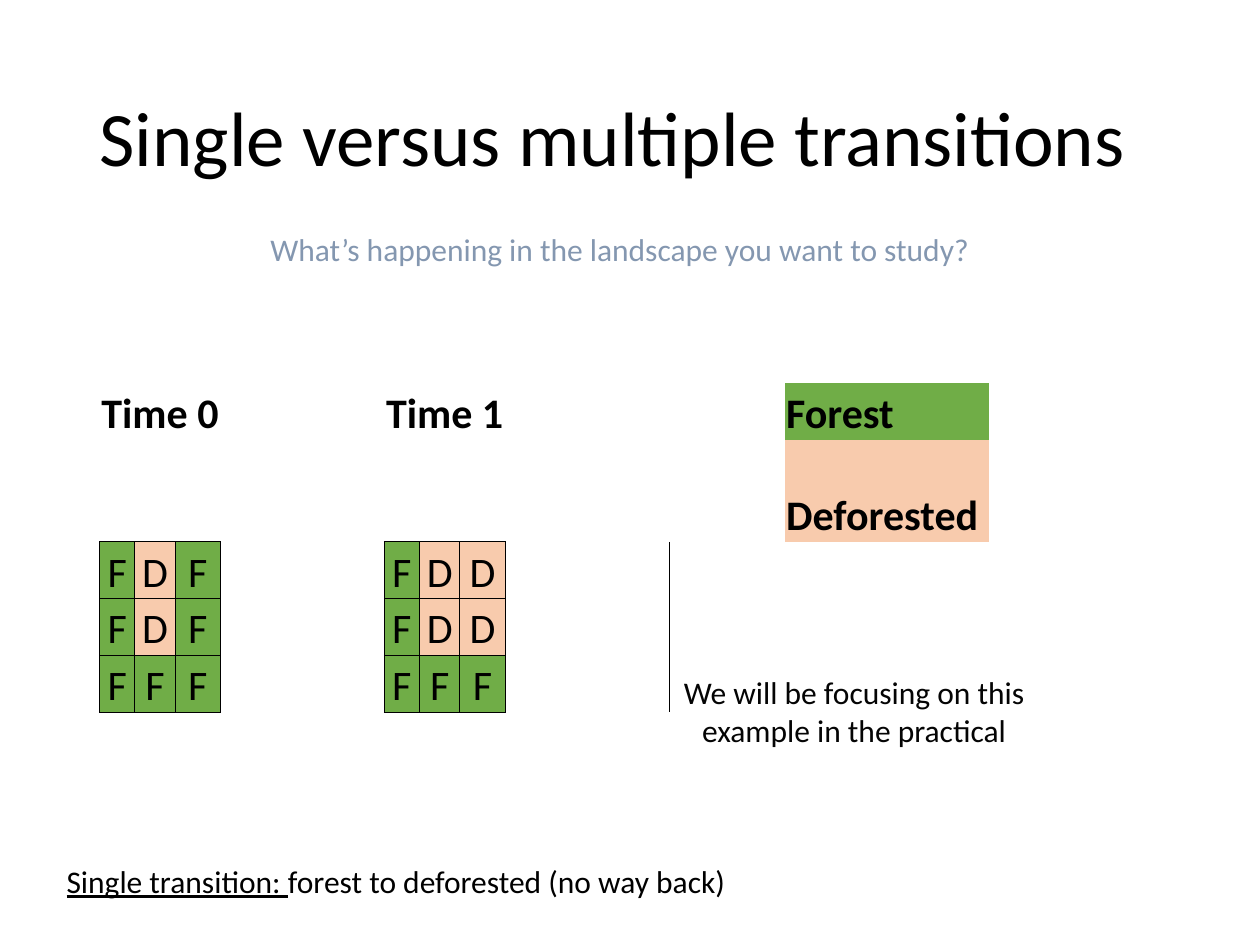
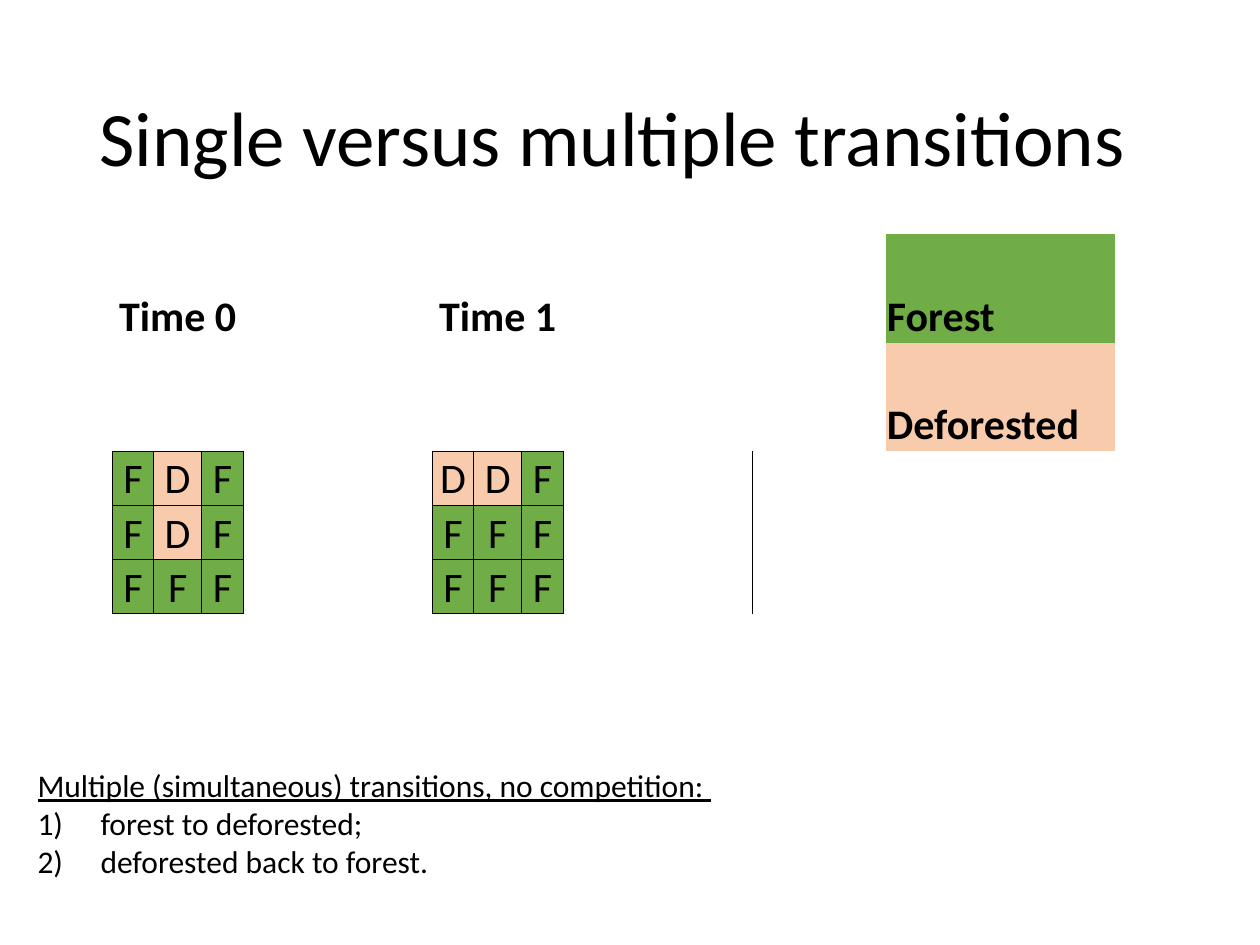
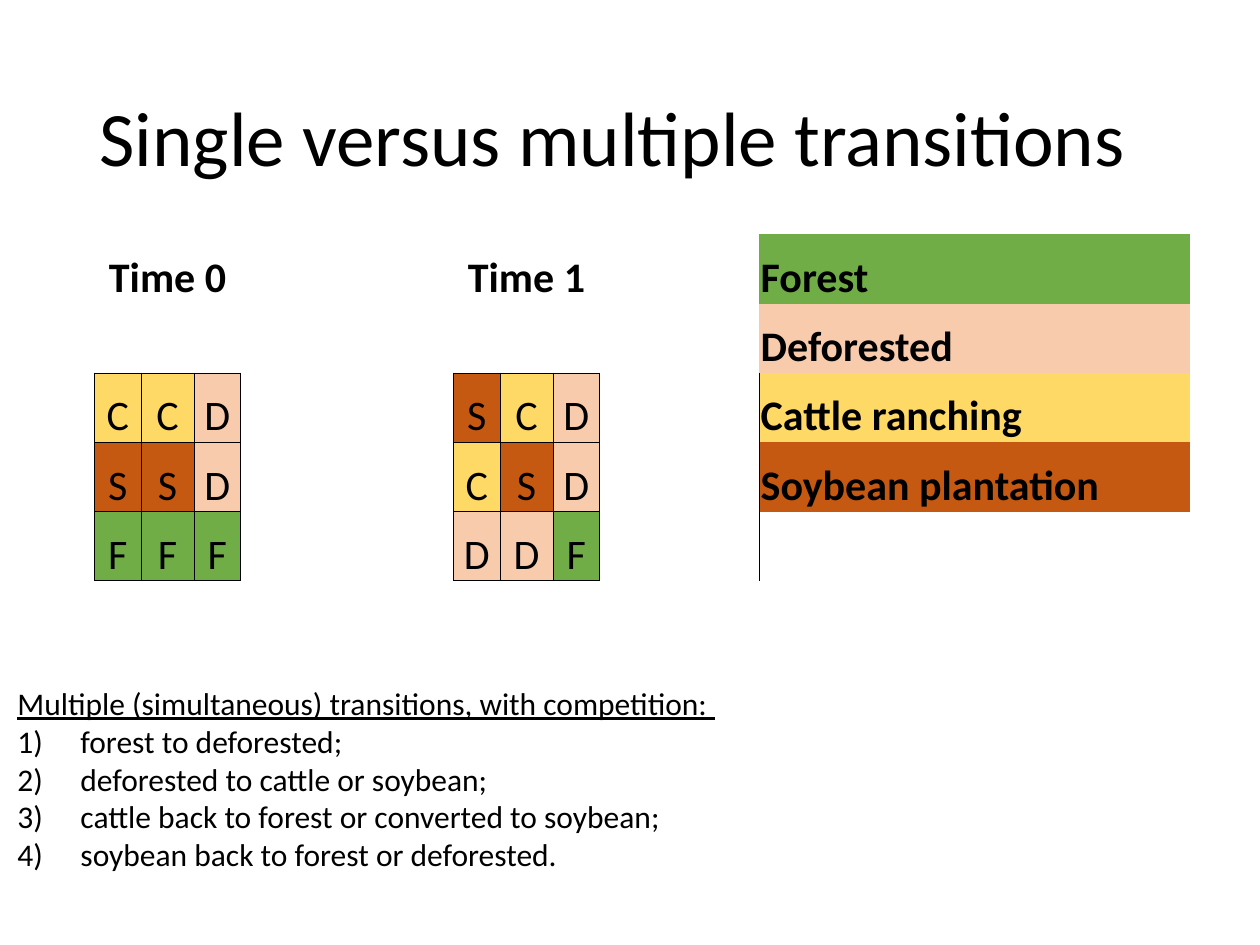
from dataclasses import dataclass
from typing import Optional

from lxml.etree import SubElement
from pptx import Presentation
from pptx.dml.color import RGBColor
from pptx.enum.text import MSO_ANCHOR as Anchor, MSO_AUTO_SIZE as AutoSize, PP_ALIGN as Align
from pptx.oxml.ns import qn
from pptx.util import Inches, Pt

COLOURS = {
    "text": "000000", "note": "040404", "subtitle": "8497B0", "border": "000000",
    "F": "70AD47", "D": "F8CBAD", "C": "FFD966", "S": "C65911",
}
LAND_USES = {"F": "Forest", "D": "Deforested", "C": "Cattle ranching", "S": "Soybean plantation"}
FONT = "Calibri"
TITLE = "Single versus multiple transitions"
TITLE_SIZE, TABLE_SIZE, BODY_SIZE = 44, 24, 18
NO_STYLE_NO_GRID = "{2D5ABB26-0587-4C30-8999-92F81FD0307C}"

# The slide is a grid of 100 columns by 75 rows.
SLIDE_W, SLIDE_H = Inches(10), Inches(7.5)
COL, ROW = SLIDE_W / 100, SLIDE_H / 75

PATCH_SIZE = 3
FIRST_PATCH_ROW = 2
TIME_COLUMNS = (0, PATCH_SIZE + 1)
SIDES = {"L": (0, -1), "R": (0, 1), "T": (-1, 0), "B": (1, 0)}


@dataclass(frozen=True)
class Box:
    left: float
    top: float
    width: float
    height: float

    def emu(self) -> tuple[int, int, int, int]:
        return (round(self.left * COL), round(self.top * ROW),
                round(self.width * COL), round(self.height * ROW))


@dataclass(frozen=True)
class Landscape:
    """Two patches side by side, each a row of letters per line, with a legend."""
    left: float
    top: float
    columns: tuple[float, ...]
    rows: tuple[float, ...]
    times: tuple[str, str]
    legend: str
    legend_column: int


@dataclass(frozen=True)
class Caption:
    box: Box
    heading: str
    rest: str = ""
    steps: tuple[str, ...] = ()


@dataclass(frozen=True)
class Remark:
    box: Box
    text: str
    colour: str


@dataclass(frozen=True)
class Page:
    landscape: Landscape
    caption: Caption
    remarks: tuple[Remark, ...] = ()


TITLE_BOX = Box(6.9, 4, 86.2, 14.5)
WIDE_PATCH = (2.8, 3.2, 3.6)
EVEN_PATCH = (3.3, 3.8, 3.3)
MIXED_PATCH = (3.7, 4.2, 3.7)

PAGES = (
    Page(
        Landscape(7.9, 30.4, (*WIDE_PATCH, 13, *WIDE_PATCH, 13, 3, 3.2, 3, 16.2, 13),
                  (4.5, 8.1, 4.5, 4.5, 4.5), ("FDF FDF FFF", "FDD FDD FFF"), "FD", 11),
        Caption(Box(4.3, 67.9, 92.4, 5), "Single transition: ",
                "forest to deforested (no way back)"),
        (Remark(Box(1.7, 17.8, 95, 5),
                "What’s happening in the landscape you want to study?", "subtitle"),
         Remark(Box(49.3, 52.9, 37, 7.1),
                "We will be focusing on this example in the practical", "note")),
    ),
    Page(
        Landscape(8.9, 18.6, (*EVEN_PATCH, 15, *EVEN_PATCH, 15, 3.4, 3.8, 3.4, 18.2),
                  (8.6, 8.6, 4.3, 4.3, 4.3), ("FDF FDF FFF", "DDF FFF FFF"), "FD", 11),
        Caption(Box(2, 60.3, 91.3, 13.1), "Multiple (simultaneous) transitions, no competition: ",
                steps=("forest to deforested;", "deforested back to forest.")),
    ),
    Page(
        Landscape(7.5, 18.6, (*MIXED_PATCH, 16.9, *MIXED_PATCH, 12.7, 34.2),
                  (5.5,) * 5, ("CCD SSD FFF", "SCD CSD DDF"), "FDCS", 8),
        Caption(Box(0.4, 53.8, 94.2, 21.2),
                "Multiple (simultaneous) transitions, with competition: ",
                steps=("forest to deforested;", "deforested to cattle or soybean;",
                       "cattle back to forest or converted to soybean;",
                       "soybean back to forest or deforested.")),
    ),
)


def rgb(name: str) -> RGBColor:
    return RGBColor.from_string(COLOURS[name])


def add_run(p, text: str, size: float = BODY_SIZE, colour: str = "text",
            bold: bool = False, underline: bool = False) -> None:
    r = p.add_run()
    r.text = text
    r.font.name, r.font.size = FONT, Pt(size)
    r.font.bold, r.font.underline = bold, underline
    r.font.color.rgb = rgb(colour)


def add_title(s) -> None:
    title = s.shapes.title
    title.left, title.top, title.width, title.height = TITLE_BOX.emu()
    tf = title.text_frame
    tf.auto_size, tf.vertical_anchor = AutoSize.NONE, Anchor.MIDDLE
    p = tf.paragraphs[0]
    p.alignment, p.line_spacing = Align.LEFT, 0.9
    add_run(p, TITLE, TITLE_SIZE)


def add_text_frame(s, box: Box):
    tf = s.shapes.add_textbox(*box.emu()).text_frame
    tf.word_wrap = True
    return tf


def add_remark(s, remark: Remark) -> None:
    p = add_text_frame(s, remark.box).paragraphs[0]
    p.alignment = Align.CENTER
    add_run(p, remark.text, colour=remark.colour)


def number_step(p) -> None:
    pPr = p._p.get_or_add_pPr()
    pPr.set("marL", str(Inches(0.5)))
    pPr.set("indent", str(-Inches(0.5)))
    SubElement(pPr, qn("a:buFont"), typeface="+mj-lt")
    SubElement(pPr, qn("a:buAutoNum"), type="arabicParenR")


def add_caption(s, caption: Caption) -> None:
    tf = add_text_frame(s, caption.box)
    p = tf.paragraphs[0]
    add_run(p, caption.heading, underline=True)
    if caption.rest:
        add_run(p, caption.rest)
    for step in caption.steps:
        p = tf.add_paragraph()
        number_step(p)
        add_run(p, step)


def write_cell(cell, text: str, align: Align, bold: bool, fill: Optional[str] = None) -> None:
    cell.margin_left = cell.margin_right = cell.margin_top = Inches(0.01)
    cell.margin_bottom = 0
    cell.vertical_anchor = Anchor.BOTTOM
    p = cell.text_frame.paragraphs[0]
    p.alignment = align
    add_run(p, text, TABLE_SIZE, bold=bold)
    if fill:
        cell.fill.solid()
        cell.fill.fore_color.rgb = rgb(fill)


def add_border(cell, side: str) -> None:
    line = SubElement(cell._tc.get_or_add_tcPr(), qn(f"a:ln{side}"), w=str(Pt(0.5)))
    SubElement(SubElement(line, qn("a:solidFill")), qn("a:srgbClr"), val=COLOURS["border"])


def add_landscape(s, land: Landscape) -> None:
    box = Box(land.left, land.top, sum(land.columns), sum(land.rows))
    frame = s.shapes.add_table(len(land.rows), len(land.columns), *box.emu())
    table = frame.table
    table.first_row = table.horz_banding = False
    next(frame.element.iter(qn("a:tableStyleId"))).text = NO_STYLE_NO_GRID
    for column, width in zip(table.columns, land.columns):
        column.width = round(width * COL)
    for row, height in zip(table.rows, land.rows):
        row.height = round(height * ROW)

    patches = {
        (FIRST_PATCH_ROW + i, start + j): use
        for start, time in zip(TIME_COLUMNS, land.times)
        for i, line in enumerate(time.split())
        for j, use in enumerate(line)
    }
    for i in range(len(land.rows)):
        for j in range(len(land.columns)):
            for side, (down, right) in SIDES.items():
                if (i, j) in patches or (i + down, j + right) in patches:
                    add_border(table.cell(i, j), side)
            table.cell(i, j).fill.background()

    for time, start in enumerate(TIME_COLUMNS):
        header = table.cell(0, start)
        header.merge(table.cell(0, start + PATCH_SIZE - 1))
        write_cell(header, f"Time {time}", Align.CENTER, bold=True)
    for (i, j), use in patches.items():
        write_cell(table.cell(i, j), use, Align.CENTER, bold=False, fill=use)
    for i, use in enumerate(land.legend):
        write_cell(table.cell(i, land.legend_column), LAND_USES[use], Align.LEFT,
                   bold=True, fill=use)


def main() -> None:
    prs = Presentation()
    prs.slide_width, prs.slide_height = SLIDE_W, SLIDE_H
    title_only = prs.slide_layouts.get_by_name("Title Only")
    for page in PAGES:
        s = prs.slides.add_slide(title_only)
        add_title(s)
        add_landscape(s, page.landscape)
        add_caption(s, page.caption)
        for remark in page.remarks:
            add_remark(s, remark)
    prs.save("out.pptx")


if __name__ == "__main__":
    main()
